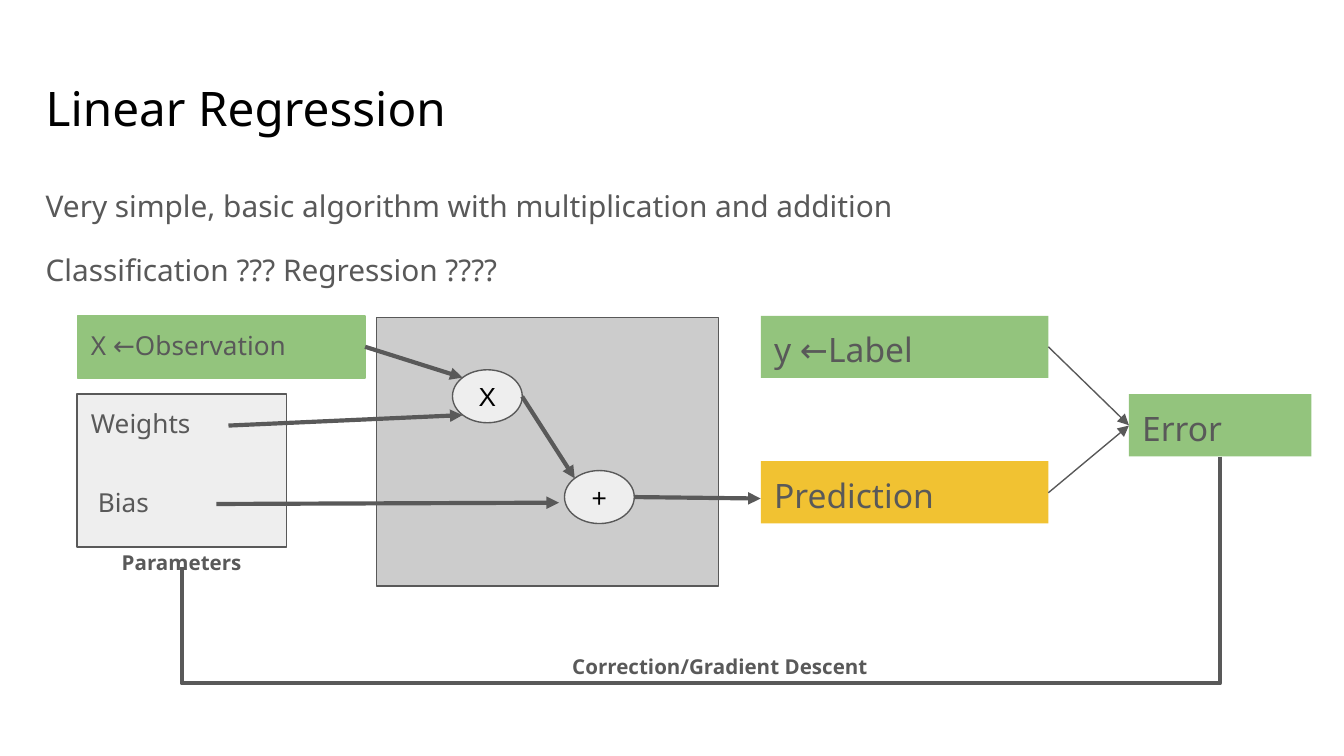
from dataclasses import dataclass

from lxml import etree
from pptx import Presentation
from pptx.dml.color import RGBColor
from pptx.enum import shapes, text
from pptx.oxml import ns
from pptx.util import Pt


@dataclass(frozen=True)
class Theme:
    font: str = "Noto Sans"
    symbol_font: str = "Arial"
    ink: str = "595959"
    black: str = "000000"
    green: str = "93C47D"
    yellow: str = "F1C232"
    pale: str = "EEEEEE"
    grey: str = "CCCCCC"
    title: float = 25.5
    body: float = 16
    large: float = 18
    medium: float = 14
    small: float = 11
    thin: float = 0.75
    thick: float = 2.25
    inset: float = 7.2


THEME = Theme()


@dataclass(frozen=True)
class Box:
    left: float
    top: float
    width: float
    height: float
    label: str = ""
    size: float = THEME.medium
    fill: str = ""
    outline: str = ""
    caption: bool = False
    ellipse: bool = False


@dataclass(frozen=True)
class Arrow:
    x1: float
    y1: float
    x2: float
    y2: float
    weight: float = THEME.thick


PANELS = [
    Box(41.2, 211, 112.3, 82, fill=THEME.pale, outline=THEME.ink),
    Box(201.7, 170.2, 183.3, 143.7, fill=THEME.grey, outline=THEME.ink),
]
NODES = [
    Box(41.6, 169.2, 154, 33.3, "X ←Observation", fill=THEME.green, outline=THEME.green),
    Box(407.6, 169.2, 154, 33.3, "y ←Label", THEME.large, THEME.green),
    Box(407.6, 247.1, 154, 33.3, "Prediction", THEME.large, THEME.yellow),
    Box(604.8, 211.2, 97.7, 33.3, "Error", THEME.large, THEME.green),
    Box(41.6, 211, 80.6, 33.3, "Weights"),
    Box(45.4, 253.4, 59, 33.3, "Bias"),
    Box(242.4, 198.1, 37.4, 28.4, "X", fill=THEME.pale, outline=THEME.ink, ellipse=True),
    Box(302.4, 252.1, 37.4, 28.4, "+", fill=THEME.pale, outline=THEME.ink, ellipse=True),
    Box(41.2, 287.3, 112.3, 16.6, "Parameters", THEME.small, caption=True),
    Box(279.5, 343.4, 212.4, 16.6, "Correction/Gradient Descent", THEME.small, caption=True),
]
ARROWS = [
    Arrow(195.6, 185.8, 247.8, 202.3),
    Arrow(122.4, 228, 247.8, 222.4),
    Arrow(115.9, 270, 299.5, 269.3),
    Arrow(279.7, 212.4, 307.9, 256.3),
    Arrow(339.8, 266.3, 407.5, 267.1),
    Arrow(561.6, 185.8, 604.8, 227.8, THEME.thin),
    Arrow(561.6, 264, 604.8, 228, THEME.thin),
]


def style_paragraph(paragraph, size: float, color: str = THEME.ink,
                    font: str = THEME.font, bold: bool = False) -> None:
    paragraph.font.size = Pt(size)
    paragraph.font.name = font
    paragraph.font.bold = bold
    paragraph.font.color.rgb = RGBColor.from_string(color)


def set_frame(frame, side: float, vertical: float, anchor=text.MSO_ANCHOR.TOP) -> None:
    frame.word_wrap = True
    frame.auto_size = text.MSO_AUTO_SIZE.NONE
    frame.vertical_anchor = anchor
    frame.margin_left = frame.margin_right = Pt(side)
    frame.margin_top = frame.margin_bottom = Pt(vertical)


def draw_box(slide, box: Box) -> None:
    area = Pt(box.left), Pt(box.top), Pt(box.width), Pt(box.height)
    if box.fill:
        kind = shapes.MSO_SHAPE.OVAL if box.ellipse else shapes.MSO_SHAPE.RECTANGLE
        shape = slide.shapes.add_shape(kind, *area)
        shape.shadow.inherit = False
        shape.fill.solid()
        shape.fill.fore_color.rgb = RGBColor.from_string(box.fill)
        if box.outline:
            shape.line.color.rgb = RGBColor.from_string(box.outline)
            shape.line.width = Pt(THEME.thin)
        else:
            shape.line.fill.background()
    else:
        shape = slide.shapes.add_textbox(*area)
    if not box.label:
        return
    frame = shape.text_frame
    frame.text = box.label
    paragraph = frame.paragraphs[0]
    centred = box.ellipse or box.caption
    paragraph.alignment = text.PP_ALIGN.CENTER if centred else text.PP_ALIGN.LEFT
    if box.ellipse:
        set_frame(frame, 0, 0, text.MSO_ANCHOR.MIDDLE)
        style_paragraph(paragraph, box.size, THEME.black, THEME.symbol_font)
    else:
        set_frame(frame, THEME.inset, THEME.inset)
        style_paragraph(paragraph, box.size, bold=box.caption)


def draw_connector(slide, kind, x1: float, y1: float, x2: float, y2: float, weight: float):
    connector = slide.shapes.add_connector(kind, Pt(x1), Pt(y1), Pt(x2), Pt(y2))
    connector.line.color.rgb = RGBColor.from_string(THEME.ink)
    connector.line.width = Pt(weight)
    etree.SubElement(connector._element.spPr, ns.qn("a:effectLst"))
    return connector


def draw_arrow(slide, arrow: Arrow) -> None:
    connector = draw_connector(slide, shapes.MSO_CONNECTOR.STRAIGHT, arrow.x1, arrow.y1,
                               arrow.x2, arrow.y2, arrow.weight)
    etree.SubElement(connector.line._get_or_add_ln(), ns.qn("a:tailEnd"), type="triangle")


def draw_feedback(slide, x1: float, y1: float, x2: float, y2: float, floor: float) -> None:
    """Run an elbow from (x1, y1) down to floor, left, and up to (x2, y2)."""
    across, down = x1 - x2, y2 - y1
    left, top = (x1 + x2 - down) / 2, (y1 + y2 - across) / 2
    elbow = draw_connector(slide, shapes.MSO_CONNECTOR.ELBOW, left, top,
                           left + down, top + across, THEME.thick)
    properties = elbow._element.spPr
    properties.find(ns.qn("a:xfrm")).set("rot", "5400000")
    adjustments = properties.find(ns.qn("a:prstGeom")).get_or_add_avLst()
    etree.SubElement(adjustments, ns.qn("a:gd"), name="adj1",
                     fmla=f"val {round((floor - y1) / down * 100000)}")


def write_heading(slide) -> None:
    title = slide.shapes.title
    title.left, title.top, title.width, title.height = Pt(24.5), Pt(35.3), Pt(671), Pt(45.4)
    title.text_frame.text = "Linear Regression"
    set_frame(title.text_frame, 0, THEME.inset)
    title.text_frame.paragraphs[0].alignment = text.PP_ALIGN.LEFT
    style_paragraph(title.text_frame.paragraphs[0], THEME.title, THEME.black)

    summary = slide.shapes.add_textbox(Pt(24.5), Pt(90.7), Pt(671), Pt(269.3)).text_frame
    summary.text = ("Very simple, basic algorithm with multiplication and addition\n"
                    "Classification ??? Regression ????")
    set_frame(summary, 0, THEME.inset)
    for paragraph in summary.paragraphs:
        paragraph.line_spacing = 1.15
        style_paragraph(paragraph, THEME.body)
    summary.paragraphs[1].space_before = Pt(12)


def main() -> None:
    deck = Presentation()
    deck.slide_width, deck.slide_height = Pt(720), Pt(405)
    slide = deck.slides.add_slide(deck.slide_layouts[5])
    write_heading(slide)
    for box in PANELS + NODES:
        draw_box(slide, box)
    for arrow in ARROWS:
        draw_arrow(slide, arrow)
    draw_feedback(slide, 653.6, 244.6, 97.3, 303.8, 366.2)
    deck.save("out.pptx")


if __name__ == "__main__":
    main()
